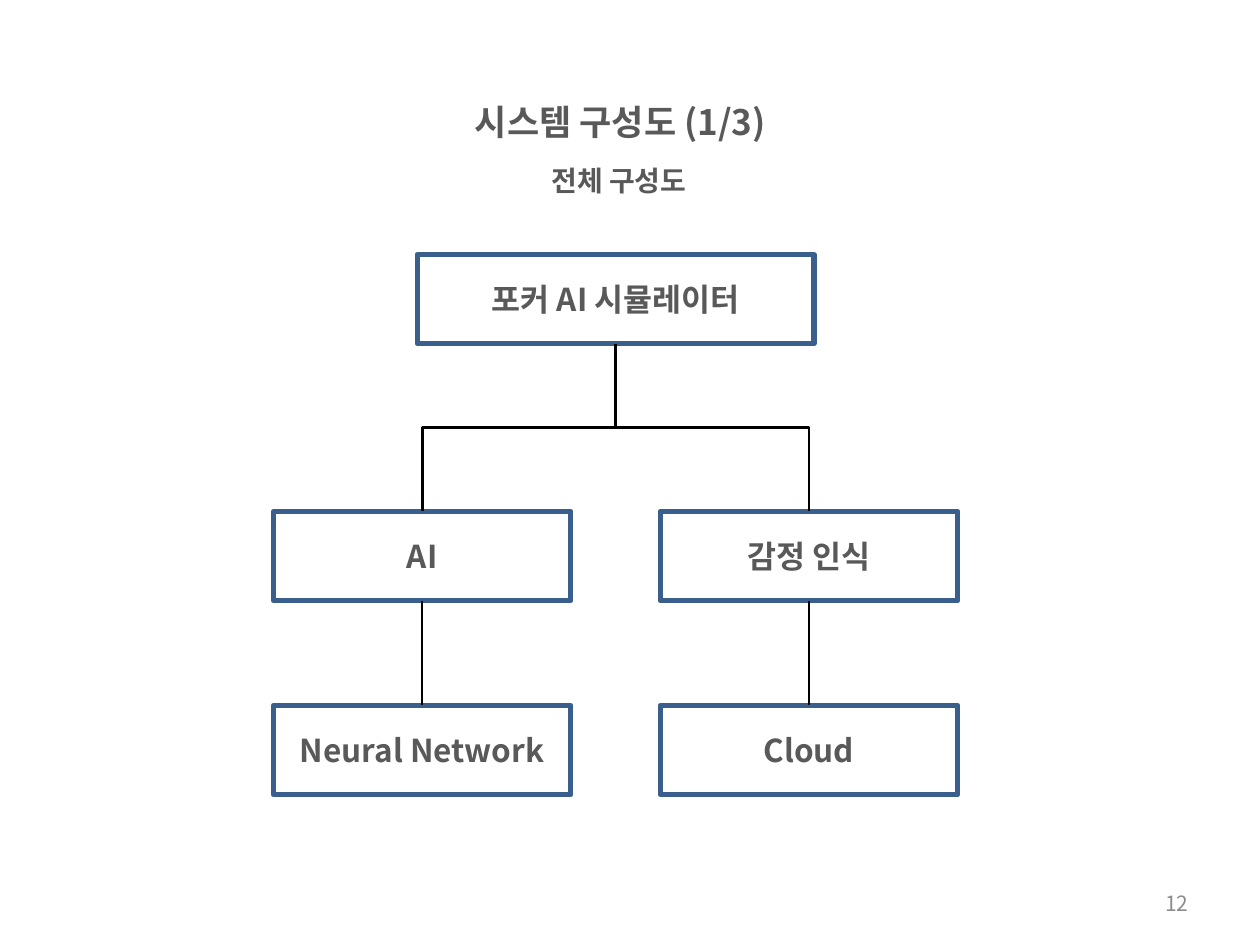
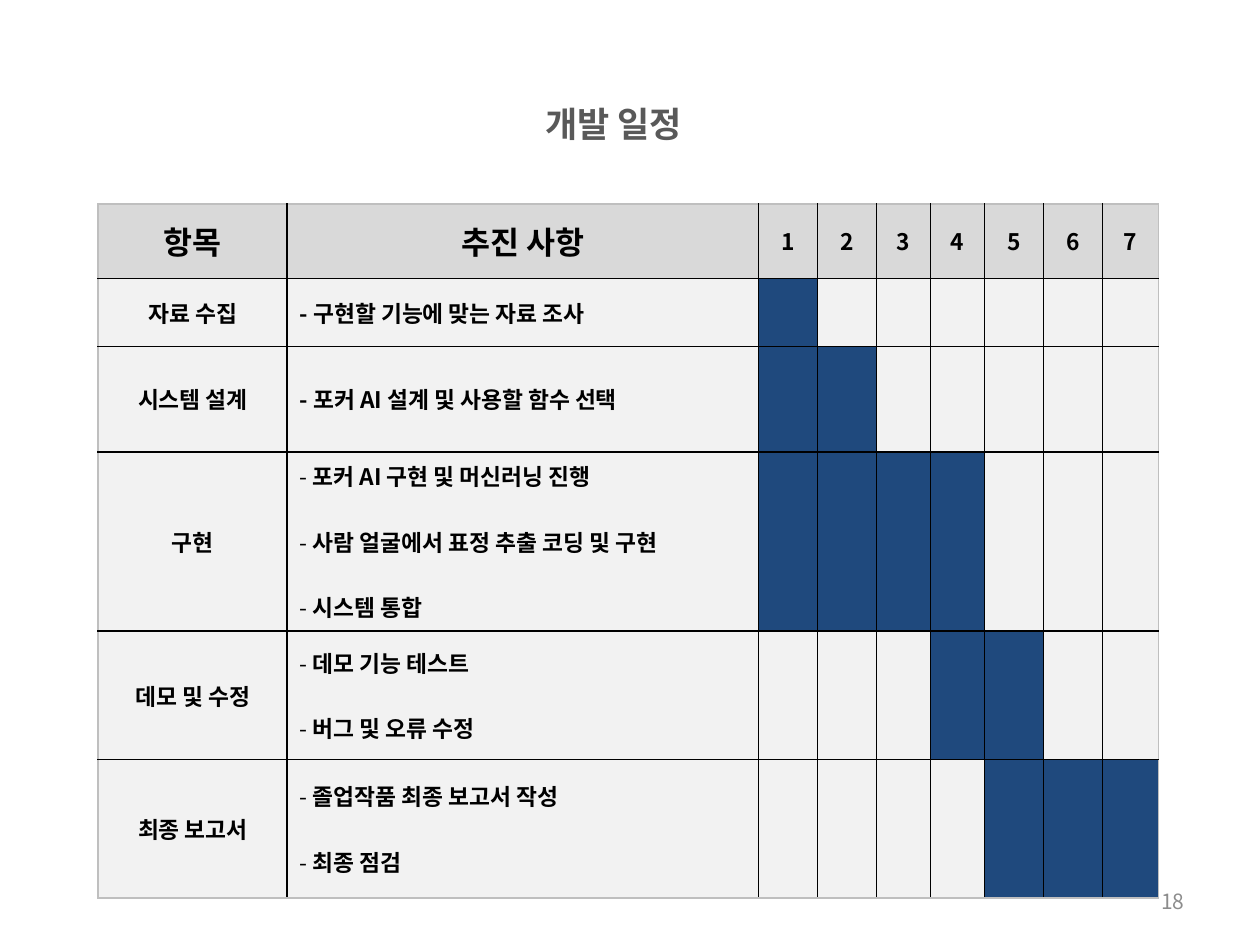
from lxml.etree import SubElement
from pptx import Presentation
from pptx.dml.color import RGBColor
from pptx.enum.shapes import MSO_CONNECTOR, MSO_SHAPE
from pptx.enum.text import MSO_ANCHOR, PP_ALIGN
from pptx.oxml import parse_xml
from pptx.oxml.ns import nsdecls, qn
from pptx.util import Cm, Pt

# Shared look
FONT = "Noto Sans CJK KR"
BLACK = RGBColor(0, 0, 0)
WHITE = RGBColor(0xFF, 0xFF, 0xFF)
DARK = RGBColor(0x59, 0x59, 0x59)
PALE = RGBColor(0x8C, 0x8C, 0x8C)
EDGE = RGBColor(0x3A, 0x5F, 0x8C)
HEAD = RGBColor(0xD9, 0xD9, 0xD9)
CELL = RGBColor(0xF2, 0xF2, 0xF2)
RIM = RGBColor(0xBF, 0xBF, 0xBF)
DONE = RGBColor(0x1F, 0x49, 0x7D)

# Schedule: name, tasks, first and last month
PLAN = [
    ("자료 수집", ["- 구현할 기능에 맞는 자료 조사"], 1, 1),
    ("시스템 설계", ["- 포커 AI 설계 및 사용할 함수 선택"], 1, 2),
    ("구현", ["포커 AI 구현 및 머신러닝 진행",
            "사람 얼굴에서 표정 추출 코딩 및 구현", "시스템 통합"], 1, 4),
    ("데모 및 수정", ["데모 기능 테스트", "버그 및 오류 수정"], 4, 5),
    ("최종 보고서", ["졸업작품 최종 보고서 작성", "최종 점검"], 5, 7),
]
COLS = [3.81, 9.5, 1.19, 1.19, 1.09, 1.09, 1.19, 1.19, 1.12]
ROWS = [1.5, 1.37, 2.13, 3.61, 2.59, 2.79]


def write(frame, *lines, size=18, color=DARK, bold=True, align=PP_ALIGN.CENTER,
          anchor=MSO_ANCHOR.MIDDLE, gap=0, dash=False):
    """Fill a text frame, one paragraph for each line."""
    frame.vertical_anchor = anchor
    for i, line in enumerate(lines):
        para = frame.add_paragraph() if i else frame.paragraphs[0]
        para.alignment = align
        para.space_before = Pt(gap if i else 0)
        run = para.add_run()
        run.text = line
        font = run.font
        font.size, font.bold, font.name = Pt(size), bold, FONT
        font.color.rgb = color
        SubElement(run._r.get_or_add_rPr(), qn("a:ea"), typeface=FONT)
        if dash:
            props = para._p.get_or_add_pPr()
            props.set("marL", str(Cm(0.26)))
            props.set("indent", str(Cm(-0.26)))
            SubElement(props, qn("a:buFont"), typeface=FONT)
            SubElement(props, qn("a:buChar"), char="-")


def label(slide, text, left, top, width, height, **style):
    box = slide.shapes.add_textbox(Cm(left), Cm(top), Cm(width), Cm(height))
    box.text_frame.word_wrap = True
    write(box.text_frame, text, **style)


def start(deck, text, left, top, width, page, right, base):
    """Add a slide with its title and page number."""
    slide = deck.slides.add_slide(deck.slide_layouts[5])
    title = slide.shapes.title
    title.left, title.top = Cm(left), Cm(top)
    title.width, title.height = Cm(width), Cm(1.12)
    title.text_frame.word_wrap = False
    write(title.text_frame, text, size=20, align=PP_ALIGN.LEFT,
          anchor=MSO_ANCHOR.TOP)
    label(slide, page, right - 5.92, base, 5.92, 1.02, size=12, color=PALE,
          bold=False, align=PP_ALIGN.RIGHT)
    return slide


# System tree
def node(slide, text, mid, top, width, height):
    box = slide.shapes.add_shape(MSO_SHAPE.RECTANGLE, Cm(mid - width / 2),
                                 Cm(top), Cm(width), Cm(height))
    box.shadow.inherit = False
    box.fill.solid()
    box.fill.fore_color.rgb = WHITE
    box.line.color.rgb = EDGE
    box.line.width = Pt(3)
    write(box.text_frame, text)


def link(slide, x, y, to_x, to_y):
    """Join two points downwards: straight, or bent halfway."""
    if x == to_x:
        kind, turn, ends = MSO_CONNECTOR.STRAIGHT, 0, (x, y, to_x, to_y)
    else:
        # A bent line leaves sideways, so turn it a quarter to leave downwards
        kind = MSO_CONNECTOR.ELBOW
        turn, side = (90, 1) if to_x < x else (270, -1)
        mid_x, mid_y = (x + to_x) / 2, (y + to_y) / 2
        half, rise = side * (to_y - y) / 2, abs(to_x - x) / 2
        ends = (mid_x - half, mid_y - rise, mid_x + half, mid_y + rise)
    line = slide.shapes.add_connector(kind, *map(Cm, ends))
    line.line.color.rgb = BLACK
    line.line.width = Pt(1.5)
    props = line._element.spPr
    props.find(qn("a:xfrm")).set("rot", str(turn * 60000))
    SubElement(props, qn("a:effectLst"))


def tree(slide, left, top, width, height):
    tall, wide = 1.8, 6
    mid = left + width / 2
    second, third = top + 5.18, top + height - tall
    node(slide, "포커 AI 시뮬레이터", mid, top, 8, tall)
    sides = [(left + wide / 2, "AI", "Neural Network"),
             (left + width - wide / 2, "감정 인식", "Cloud")]
    for x, part, tool in sides:
        node(slide, part, x, second, wide, tall)
        node(slide, tool, x, third, wide, tall)
        link(slide, mid, top + tall, x, second)
        link(slide, x, second + tall, x, third)


# Schedule table
def paint(cell, fill, rims):
    """Set the fill and the four borders; rims are the outer sides."""
    cell.fill.solid()
    cell.fill.fore_color.rgb = fill
    props = cell._tc.get_or_add_tcPr()
    for i, side in enumerate("LRTB"):
        tone = RIM if side in rims else BLACK
        props.insert(i, parse_xml(
            f'<a:ln{side} {nsdecls("a")} w="{Pt(1)}"><a:solidFill>'
            f'<a:srgbClr val="{tone}"/></a:solidFill></a:ln{side}>'))


def chart(slide, left, top):
    grid = slide.shapes.add_table(len(ROWS), len(COLS), Cm(left), Cm(top),
                                  Cm(sum(COLS)), Cm(sum(ROWS))).table
    for col, width in zip(grid.columns, COLS):
        col.width = Cm(width)
    for row, height in zip(grid.rows, ROWS):
        row.height = Cm(height)
    for r in range(len(ROWS)):
        for c in range(len(COLS)):
            fill = CELL if r else HEAD
            if r and PLAN[r - 1][2] <= c - 1 <= PLAN[r - 1][3]:
                fill = DONE
            sides = {"L": c == 0, "R": c == len(COLS) - 1,
                     "T": r == 0, "B": r == len(ROWS) - 1}
            paint(grid.cell(r, c), fill, [s for s in sides if sides[s]])
            grid.cell(r, c).vertical_anchor = MSO_ANCHOR.MIDDLE
    for c, text in enumerate(["항목", "추진 사항", *"1234567"]):
        write(grid.cell(0, c).text_frame, text, color=BLACK,
              size=18 if c < 2 else 13)
    for r, (name, tasks, *_) in enumerate(PLAN, 1):
        write(grid.cell(r, 0).text_frame, name, size=13, color=BLACK)
        write(grid.cell(r, 1).text_frame, *tasks, size=13, color=BLACK,
              align=PP_ALIGN.LEFT, gap=18.8, dash=len(tasks) > 1)


def main():
    deck = Presentation()
    deck.slide_width, deck.slide_height = Cm(25.4), Cm(19.05)

    slide = start(deck, "시스템 구성도 (1/3)", 9.32, 1.9, 6.71, "12", 24.21, 17.7)
    label(slide, "전체 구성도", 10.87, 3.18, 3.68, 0.94, size=16,
          align=PP_ALIGN.LEFT, anchor=MSO_ANCHOR.TOP)
    tree(slide, 5.51, 5.13, 13.8, 10.89)

    slide = start(deck, "개발 일정", 10.74, 1.93, 3.91, "18", 24.13, 17.65)
    chart(slide, 1.98, 4.11)
    deck.save("out.pptx")


if __name__ == "__main__":
    main()
